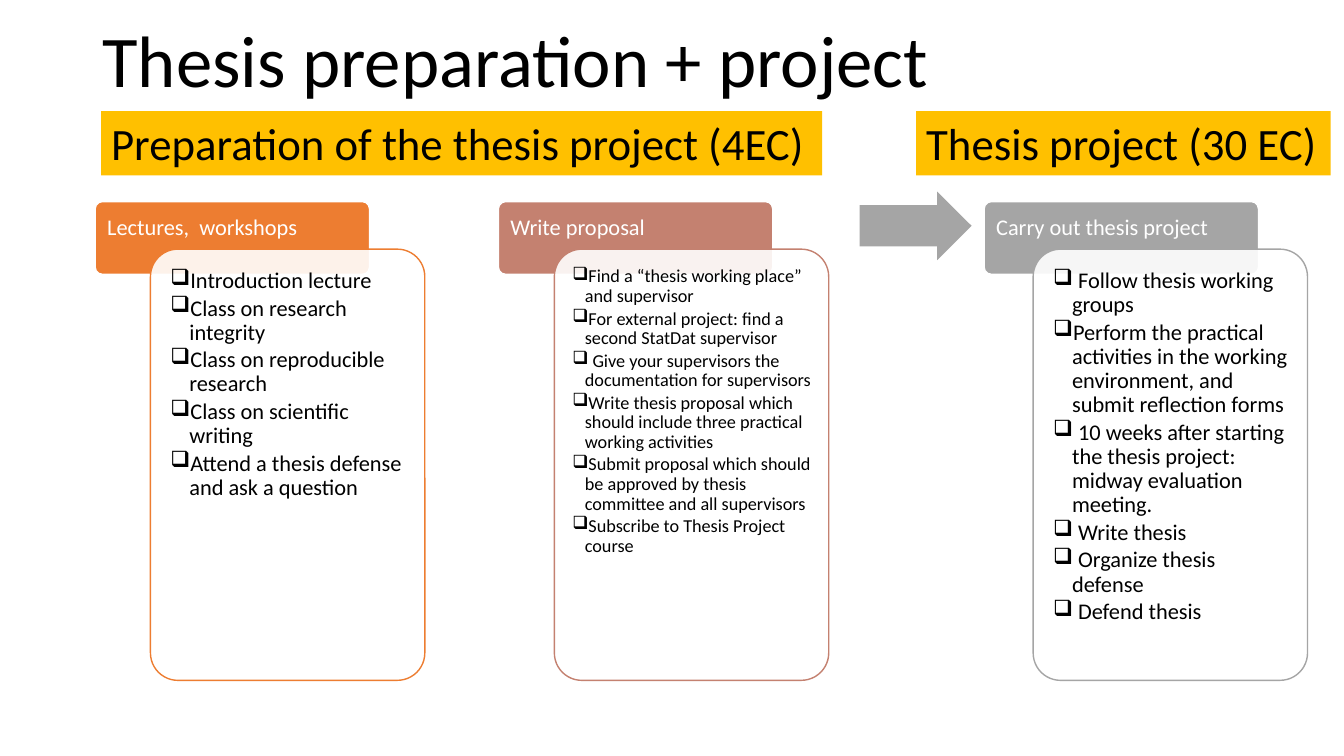
import dataclasses

import pptx
import pptx.dml.color
import pptx.enum.shapes
import pptx.enum.text
import pptx.oxml
import pptx.oxml.ns
import pptx.util

Pt = pptx.util.Pt
RGBColor = pptx.dml.color.RGBColor
Kind = pptx.enum.shapes.MSO_SHAPE
Anchor = pptx.enum.text.MSO_ANCHOR

BLACK = RGBColor(0x00, 0x00, 0x00)
WHITE = RGBColor(0xFF, 0xFF, 0xFF)
ORANGE = RGBColor(0xED, 0x7D, 0x31)
ROSE = RGBColor(0xC4, 0x81, 0x70)
GRAY = RGBColor(0xA5, 0xA5, 0xA5)
GOLD = RGBColor(0xFF, 0xC0, 0x00)
FONT = "Calibri"
WIDTH = 196


@dataclasses.dataclass
class Banner:
    text: str
    left: float
    width: float


@dataclasses.dataclass
class Phase:
    """A colored header with an overlapping card of checklist tasks."""
    title: str
    color: RGBColor
    left: float
    card: float
    size: float
    pad: float
    indent: float
    tasks: list[str]


BANNERS = [
    Banner("Preparation of the thesis project (4EC)", 72.3, 515),
    Banner("Thesis project (30 EC)", 654.5, 296),
]

PHASES = [
    Phase("Lectures,  workshops", ORANGE, 68, 107.5, 16, 8.6, 13.5, [
        "Introduction lecture",
        "Class on research integrity",
        "Class on reproducible research",
        "Class on scientific writing",
        "Attend a thesis defense and ask a question",
    ]),
    Phase("Write proposal", ROSE, 356, 396, 13, 7.2, 9, [
        "Find a “thesis working place” and supervisor",
        "For external project: find a second StatDat supervisor",
        " Give your supervisors the documentation for supervisors",
        "Write thesis proposal which should include three practical working activities",
        "Submit proposal which should be approved by thesis committee and all supervisors",
        "Subscribe to Thesis Project course",
    ]),
    Phase("Carry out thesis project", GRAY, 703, 738, 16, 8.6, 13.5, [
        " Follow thesis working groups",
        "Perform the practical activities in the working environment, and submit reflection forms",
        " 10 weeks after starting the thesis project: midway evaluation meeting.",
        " Write thesis",
        " Organize thesis defense",
        " Defend thesis",
    ]),
]


def add_box(slide, kind, left: float, top: float, width: float, height: float,
            fill: RGBColor, line: RGBColor | None = None):
    box = slide.shapes.add_shape(kind, Pt(left), Pt(top), Pt(width), Pt(height))
    box.shadow.inherit = False
    box.fill.solid()
    box.fill.fore_color.rgb = fill
    if line is None:
        box.line.fill.background()
    else:
        box.line.color.rgb = line
        box.line.width = Pt(1)
    frame = box.text_frame
    frame.word_wrap = True
    frame.vertical_anchor = Anchor.TOP
    return box


def set_pad(frame, pad: float) -> None:
    frame.margin_left = frame.margin_right = Pt(pad)
    frame.margin_top = frame.margin_bottom = Pt(pad)


def add_run(para, text: str, size: float, color: RGBColor) -> None:
    para.alignment = pptx.enum.text.PP_ALIGN.LEFT
    run = para.add_run()
    run.text = text
    run.font.name = FONT
    run.font.size = Pt(size)
    run.font.color.rgb = color


def add_check(para, indent: float) -> None:
    """Give the paragraph a hanging checkbox bullet."""
    props = para._p.get_or_add_pPr()
    props.set("marL", str(Pt(indent)))
    props.set("indent", str(-Pt(indent)))
    mark = pptx.oxml.parse_xml(f'<a:buChar {pptx.oxml.ns.nsdecls("a")} char="❑"/>')
    props.append(mark)


def fade(box, share: int) -> None:
    """Set the opacity of a solid fill, in percent."""
    tint = box.fill._xPr.find(".//" + pptx.oxml.ns.qn("a:srgbClr"))
    alpha = pptx.oxml.parse_xml(
        f'<a:alpha {pptx.oxml.ns.nsdecls("a")} val="{share * 1000}"/>')
    tint.append(alpha)


def add_title(slide, text: str) -> None:
    box = slide.shapes.add_textbox(Pt(66.2), Pt(0.7), Pt(828), Pt(89.3))
    frame = box.text_frame
    frame.word_wrap = True
    frame.vertical_anchor = Anchor.MIDDLE
    para = frame.paragraphs[0]
    para.line_spacing = 0.9
    add_run(para, text, 52, BLACK)


def add_phase(slide, phase: Phase) -> None:
    head = add_box(slide, Kind.ROUNDED_RECTANGLE, phase.left, 144, WIDTH, 52,
                   phase.color, WHITE)
    head.adjustments[0] = 0.1
    set_pad(head.text_frame, 7.1)
    add_run(head.text_frame.paragraphs[0], phase.title, 16, WHITE)

    card = add_box(slide, Kind.ROUNDED_RECTANGLE, phase.card, 178, WIDTH, 308,
                   WHITE, phase.color)
    card.adjustments[0] = 0.1
    fade(card, 90)
    frame = card.text_frame
    set_pad(frame, phase.pad)
    for rank, task in enumerate(phase.tasks):
        para = frame.add_paragraph() if rank else frame.paragraphs[0]
        add_check(para, phase.indent)
        para.line_spacing = 0.9
        para.space_after = Pt(round(phase.size * 0.15, 1))
        add_run(para, task, phase.size, BLACK)


def add_banner(slide, banner: Banner) -> None:
    box = add_box(slide, Kind.RECTANGLE, banner.left, 79.3, banner.width, 46, GOLD)
    frame = box.text_frame
    frame.word_wrap = False
    frame.auto_size = pptx.enum.text.MSO_AUTO_SIZE.SHAPE_TO_FIT_TEXT
    add_run(frame.paragraphs[0], banner.text, 32, BLACK)


def main() -> None:
    deck = pptx.Presentation()
    deck.slide_width = Pt(960)
    deck.slide_height = Pt(540)
    slide = deck.slides.add_slide(deck.slide_layouts[6])
    add_title(slide, "Thesis preparation + project")
    for phase in PHASES:
        add_phase(slide, phase)
    arrow = add_box(slide, Kind.RIGHT_ARROW, 614, 136.8, 80, 49, GRAY)
    arrow.adjustments[0] = 0.6
    for banner in BANNERS:
        add_banner(slide, banner)
    deck.save("out.pptx")


if __name__ == "__main__":
    main()
